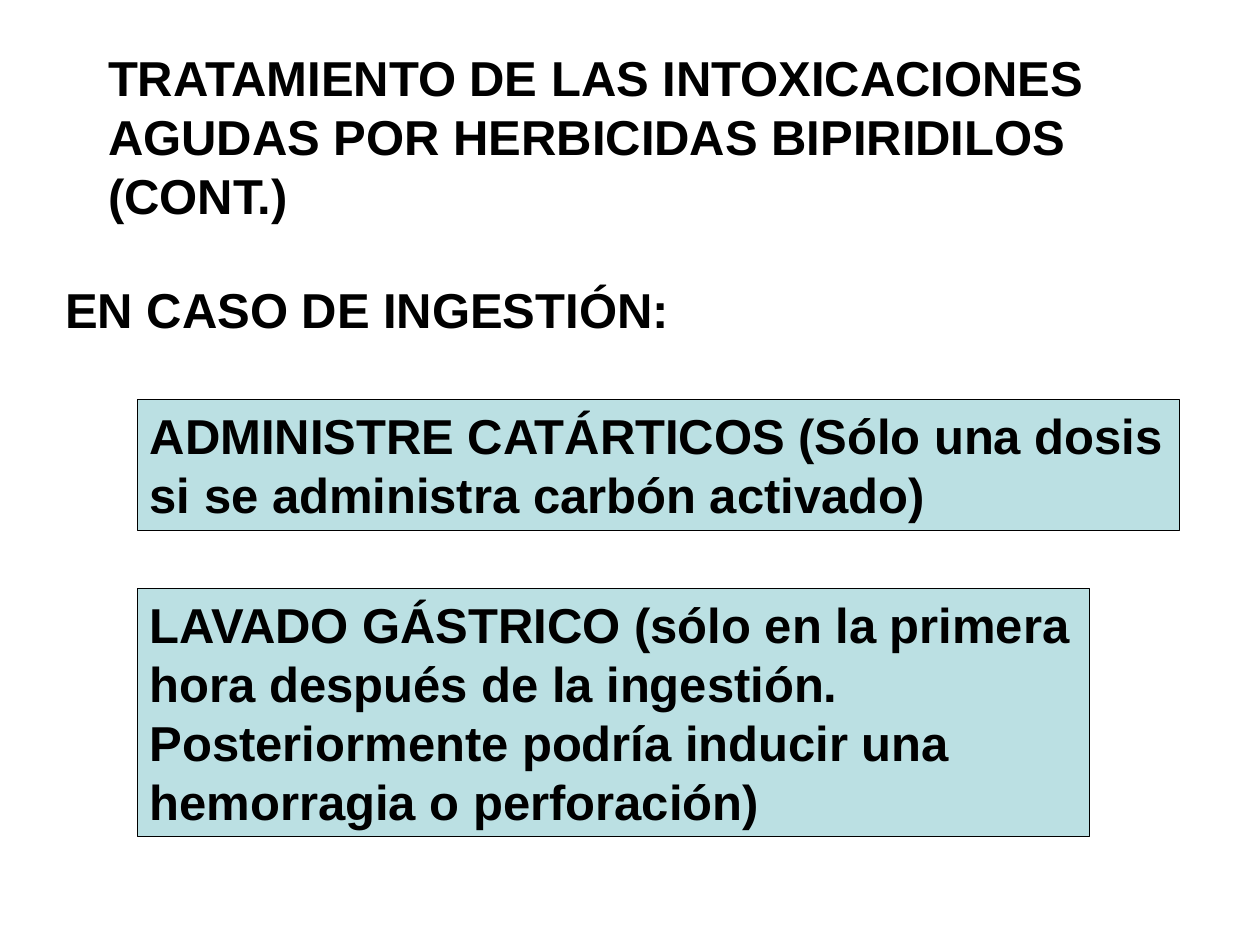
from dataclasses import dataclass

from pptx import Presentation
from pptx.dml.color import RGBColor
from pptx.enum.shapes import MSO_SHAPE
from pptx.enum.text import MSO_ANCHOR, MSO_AUTO_SIZE, PP_ALIGN
from pptx.util import Pt


@dataclass(frozen=True)
class Theme:
    font: str = "Arial"
    size: Pt = Pt(28)
    ink: RGBColor = RGBColor(0x00, 0x00, 0x00)
    panel: RGBColor = RGBColor(0xBB, 0xE0, 0xE3)
    border: Pt = Pt(0.75)


theme = Theme()


def write_lines(shape, lines):
    frame = shape.text_frame
    frame.word_wrap = False
    frame.auto_size = MSO_AUTO_SIZE.SHAPE_TO_FIT_TEXT
    frame.vertical_anchor = MSO_ANCHOR.TOP
    frame.text = "\n".join(lines)
    for paragraph in frame.paragraphs:
        paragraph.alignment = PP_ALIGN.LEFT
        paragraph.font.name = theme.font
        paragraph.font.size = theme.size
        paragraph.font.bold = True
        paragraph.font.color.rgb = theme.ink


presentation = Presentation()
presentation.slide_width = Pt(720)
presentation.slide_height = Pt(540)
slide = presentation.slides.add_slide(presentation.slide_layouts[6])

# Title and subheading: left, top, width, height, lines
headings = [
    (54.75, 23.75, 576.75, 108, [
        "TRATAMIENTO DE LAS INTOXICACIONES",
        "AGUDAS POR HERBICIDAS BIPIRIDILOS",
        "(CONT.)",
    ]),
    (30.25, 156.25, 359.25, 41, ["EN CASO DE INGESTIÓN:"]),
]
for left, top, width, height, lines in headings:
    heading = slide.shapes.add_textbox(Pt(left), Pt(top), Pt(width), Pt(height))
    write_lines(heading, lines)

# Treatment panels, sharing a left edge: top, width, height, lines
panel_left = Pt(78.5)
panels = [
    (228.25, 595.5, 74.75, [
        "ADMINISTRE CATÁRTICOS (Sólo una dosis",
        "si se administra carbón activado)",
    ]),
    (336.25, 544.25, 141.75, [
        "LAVADO GÁSTRICO (sólo en la primera",
        "hora después de la ingestión.",
        "Posteriormente podría inducir una",
        "hemorragia o perforación)",
    ]),
]
for top, width, height, lines in panels:
    panel = slide.shapes.add_shape(
        MSO_SHAPE.RECTANGLE, panel_left, Pt(top), Pt(width), Pt(height))
    panel.shadow.inherit = False
    panel.fill.solid()
    panel.fill.fore_color.rgb = theme.panel
    panel.line.color.rgb = theme.ink
    panel.line.width = theme.border
    write_lines(panel, lines)

presentation.save("out.pptx")
